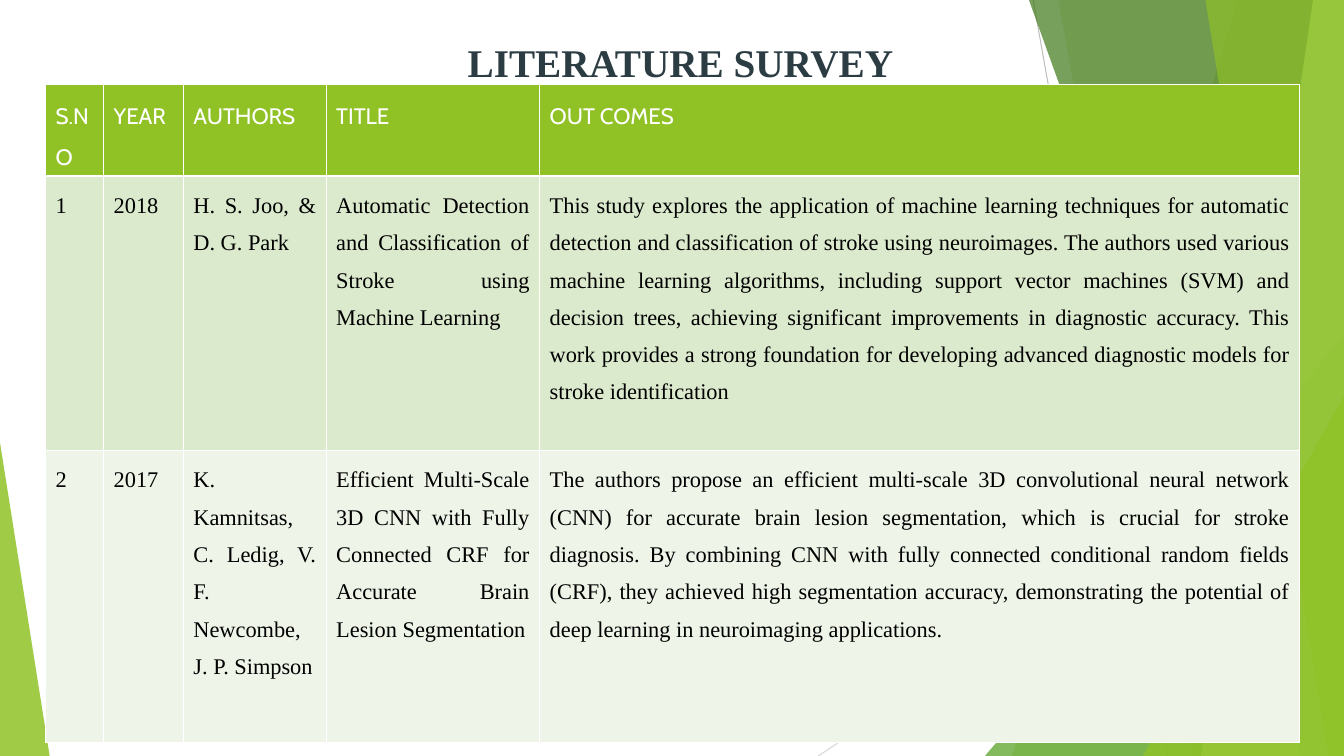
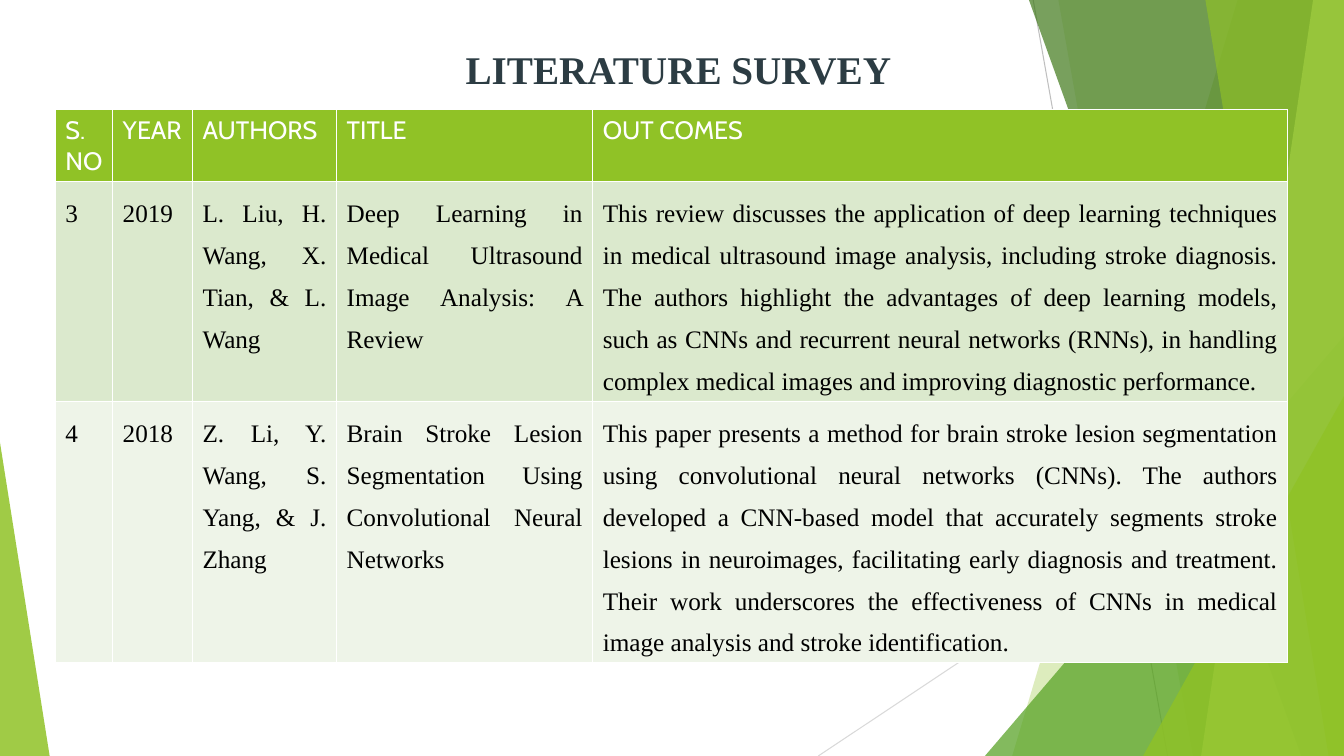
from lxml import etree
from pptx import Presentation
from pptx.dml.color import RGBColor
from pptx.enum.shapes import MSO_CONNECTOR, MSO_SHAPE
from pptx.enum.text import PP_ALIGN
from pptx.oxml.ns import qn
from pptx.util import Pt

STRAIGHT = MSO_CONNECTOR.STRAIGHT
TRIANGLE = MSO_SHAPE.ISOSCELES_TRIANGLE
LEFT, CENTER, JUSTIFY = PP_ALIGN.LEFT, PP_ALIGN.CENTER, PP_ALIGN.JUSTIFY

WIDTH, HEIGHT = 960, 540
COLORS = {
    "lime": "90C226", "leaf": "54A021", "forest": "3F7819", "pale": "C0E474",
    "gray": "BFBFBF", "light gray": "D9D9D9", "white": "FFFFFF",
    "black": "000000", "slate": "2C3C43", "odd row": "DBE9CD", "even row": "EEF4E8",
}
RAYS = [((738, 0), (834, HEIGHT), "gray"), ((WIDTH, 290), (584.5, HEIGHT), "light gray")]
BACK_PANELS = [(884, 723, "lime", 30), (756, 852, "lime", 20)]
FRONT_PANELS = [(735, 929.5, "forest", 70), (938, 858, "pale", 70), (861, 949, "lime", 65)]
BACK_CORNER = (703.5, 240, 256.5, 300, 1, "leaf", 72)
FRONT_CORNERS = [(816.5, 283, 143.5, 257, 1, "lime", 80), (0, 316, 35.5, 224, 0, "lime", 85)]
HEADINGS = ["S.NO", "YEAR", "AUTHORS", "TITLE", "OUT COMES"]

SURVEYS = [
    {
        "title_at": (111.5, 0),
        "table_at": (32.5, 60.5),
        "columns": [41.5, 57, 102, 152.5, 543],
        "rows": [65, 196, 208.5],
        "size": 16,
        "heading_spacing": 1.5,
        "papers": [
            ["1", "2018", "H. S. Joo, & D. G. Park",
             "Automatic Detection and Classification of Stroke using Machine Learning",
             "This study explores the application of machine learning techniques for automatic "
             "detection and classification of stroke using neuroimages. The authors used various "
             "machine learning algorithms, including support vector machines (SVM) and decision "
             "trees, achieving significant improvements in diagnostic accuracy. This work provides "
             "a strong foundation for developing advanced diagnostic models for stroke "
             "identification"],
            ["2", "2017", "K. Kamnitsas, C. Ledig, V. F. Newcombe, J. P. Simpson",
             "Efficient Multi-Scale 3D CNN with Fully Connected CRF for Accurate Brain Lesion "
             "Segmentation",
             "The authors propose an efficient multi-scale 3D convolutional neural network (CNN) "
             "for accurate brain lesion segmentation, which is crucial for stroke diagnosis. By "
             "combining CNN with fully connected conditional random fields (CRF), they achieved "
             "high segmentation accuracy, demonstrating the potential of deep learning in "
             "neuroimaging applications."],
        ],
    },
    {
        "title_at": (110, 5.5),
        "table_at": (39.5, 78.5),
        "columns": [41, 57, 103, 183, 496.5],
        "rows": [50.5, 157, 186],
        "size": 18,
        "heading_spacing": 1.0,
        "papers": [
            ["3", "2019", "L. Liu, H. Wang, X. Tian, & L. Wang",
             "Deep Learning in Medical Ultrasound Image Analysis: A Review",
             "This review discusses the application of deep learning techniques in medical "
             "ultrasound image analysis, including stroke diagnosis. The authors highlight the "
             "advantages of deep learning models, such as CNNs and recurrent neural networks "
             "(RNNs), in handling complex medical images and improving diagnostic performance."],
            ["4", "2018", "Z. Li, Y. Wang, S. Yang, & J. Zhang",
             "Brain Stroke Lesion Segmentation Using Convolutional Neural Networks",
             "This paper presents a method for brain stroke lesion segmentation using "
             "convolutional neural networks (CNNs). The authors developed a CNN-based model that "
             "accurately segments stroke lesions in neuroimages, facilitating early diagnosis and "
             "treatment. Their work underscores the effectiveness of CNNs in medical image "
             "analysis and stroke identification."],
        ],
    },
]


def rgb(color):
    return RGBColor.from_string(COLORS[color])


class SurveyDeck:
    title_font = {"name": "Times New Roman", "size": Pt(28), "bold": True}
    heading_font = {"name": "Cabin", "bold": False}
    body_font = {"name": "Times New Roman", "bold": False}

    def __init__(self):
        self.deck = Presentation()
        self.deck.slide_width, self.deck.slide_height = Pt(WIDTH), Pt(HEIGHT)
        self.slide = None

    def new_slide(self):
        self.slide = self.deck.slides.add_slide(self.deck.slide_layouts[6])
        self.backdrop()

    def backdrop(self):
        for start, end, color in RAYS:
            self.ray(start, end, color)
        for panel in BACK_PANELS:
            self.panel(*panel)
        self.corner(*BACK_CORNER)
        for panel in FRONT_PANELS:
            self.panel(*panel)
        for corner in FRONT_CORNERS:
            self.corner(*corner)

    def ray(self, start, end, color):
        ray = self.slide.shapes.add_connector(STRAIGHT, *map(Pt, start + end))
        ray.line.color.rgb = rgb(color)
        ray.line.width = Pt(0.75)
        etree.SubElement(ray._element.spPr, qn("a:effectLst"))

    def tint(self, shape, color, opacity):
        shape.shadow.inherit = False
        shape.line.fill.background()
        shape.fill.solid()
        shape.fill.fore_color.rgb = rgb(color)
        tone = shape._element.spPr.find(qn("a:solidFill"))[0]
        etree.SubElement(tone, qn("a:alpha"), val=str(opacity * 1000))

    def panel(self, top_x, bottom_x, color, opacity):
        outline = self.slide.shapes.build_freeform(Pt(top_x), Pt(0))
        corners = [(WIDTH, 0), (WIDTH, HEIGHT), (bottom_x, HEIGHT)]
        outline.add_line_segments([(Pt(x), Pt(y)) for x, y in corners])
        self.tint(outline.convert_to_shape(), color, opacity)

    def corner(self, left, top, width, height, apex, color, opacity):
        corner = self.slide.shapes.add_shape(TRIANGLE, *map(Pt, (left, top, width, height)))
        corner.adjustments[0] = apex
        self.tint(corner, color, opacity)

    def put_text(self, frame, text, font, color, paragraph_format):
        paragraph = frame.paragraphs[0]
        for name, value in paragraph_format.items():
            setattr(paragraph, name, value)
        run = paragraph.add_run()
        run.text = text
        for name, value in font.items():
            setattr(run.font, name, value)
        run.font.color.rgb = rgb(color)
        return paragraph

    def title(self, text, left, top):
        frame = self.slide.shapes.add_textbox(*map(Pt, (left, top, 677, 73.5))).text_frame
        frame.word_wrap = True
        heading = self.put_text(frame, text, self.title_font, "slate",
                                {"alignment": CENTER, "level": 2, "line_spacing": 1.7})
        indent = heading._p.get_or_add_pPr()
        indent.set("marL", str(Pt(72)))
        indent.set("indent", "0")

    def cell(self, cell, text, font, color, fill, paragraph_format):
        borders = cell._tc.get_or_add_tcPr()
        for side in ("lnL", "lnR", "lnT", "lnB"):
            border = etree.SubElement(borders, qn(f"a:{side}"), w=str(Pt(1)))
            stroke = etree.SubElement(border, qn("a:solidFill"))
            etree.SubElement(stroke, qn("a:srgbClr"), val=COLORS["white"])
        cell.fill.solid()
        cell.fill.fore_color.rgb = rgb(fill)
        self.put_text(cell.text_frame, text, font, color, paragraph_format)

    def table(self, survey):
        columns, rows = survey["columns"], survey["rows"]
        bounds = (*survey["table_at"], sum(columns), sum(rows))
        grid = self.slide.shapes.add_table(len(rows), len(columns), *map(Pt, bounds)).table
        for column, width in zip(grid.columns, columns):
            column.width = Pt(width)
        for row, height in zip(grid.rows, rows):
            row.height = Pt(height)
        size = {"size": Pt(survey["size"])}
        heading = (self.heading_font | size, "white", "lime",
                   {"alignment": LEFT, "line_spacing": survey["heading_spacing"]})
        body_format = {"alignment": JUSTIFY, "line_spacing": 1.5}
        styles = [heading] + [(self.body_font | size, "black", fill, body_format)
                              for fill in ("odd row", "even row")]
        for row, texts, style in zip(grid.rows, [HEADINGS] + survey["papers"], styles):
            for cell, text in zip(row.cells, texts):
                self.cell(cell, text, *style)


def main():
    survey_deck = SurveyDeck()
    for survey in SURVEYS:
        survey_deck.new_slide()
        survey_deck.table(survey)
        survey_deck.title("LITERATURE SURVEY", *survey["title_at"])
    survey_deck.deck.save("out.pptx")


if __name__ == "__main__":
    main()
